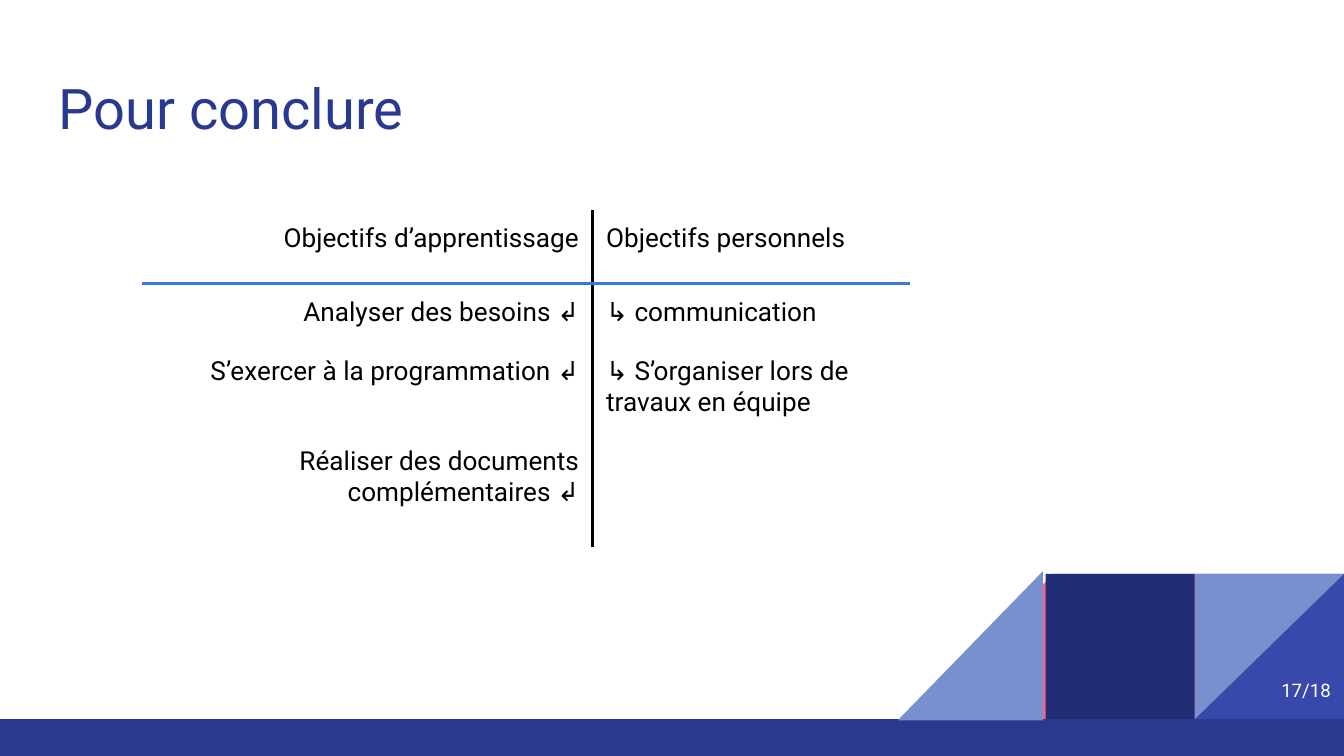
from dataclasses import dataclass

from lxml.etree import SubElement
from pptx import Presentation
from pptx.dml.color import RGBColor
from pptx.enum.shapes import MSO_SHAPE
from pptx.enum.text import MSO_ANCHOR, PP_ALIGN
from pptx.oxml.ns import qn
from pptx.slide import Slide
from pptx.table import _Cell
from pptx.text.text import TextFrame
from pptx.util import Inches, Pt


@dataclass(frozen=True)
class Theme:
    font: str = "Roboto"
    title_size: int = 30
    body_size: int = 14
    number_size: int = 10
    border_width: float = 1.5
    text: str = "000000"
    white: str = "FFFFFF"
    band: str = "2A3990"
    navy: str = "212D74"
    indigo: str = "3949AB"
    light_blue: str = "7890CD"
    rule: str = "3C78D8"
    pink: str = "F06292"
    raspberry: str = "D23369"
    plum: str = "9C254D"


THEME = Theme()


@dataclass(frozen=True)
class Block:
    left: float
    top: float
    width: float
    height: float
    color: str
    triangle: bool = False
    flips: tuple[str, ...] = ()


PAGE_WIDTH = 10
PAGE_HEIGHT = PAGE_WIDTH * 9 / 16
SIDE = 1.08
WIDE = 1.11
TOP = 4.27
BAND_TOP = TOP + SIDE
BLOCKS = [
    Block(8.92, TOP, SIDE, SIDE, THEME.pink, True),
    Block(6.76, TOP, SIDE, SIDE, THEME.pink, True, ("flipH",)),
    Block(7.84, TOP, SIDE, SIDE, THEME.raspberry),
    Block(8.92, TOP, SIDE, SIDE, THEME.plum, True, ("flipH", "flipV")),
    Block(0, BAND_TOP, PAGE_WIDTH, PAGE_HEIGHT - BAND_TOP, THEME.band),
    Block(7.78, TOP, WIDE, SIDE, THEME.navy),
    Block(8.89, TOP, WIDE, SIDE, THEME.indigo, True, ("flipH",)),
    Block(8.89, TOP, WIDE, SIDE, THEME.light_blue, True, ("flipV",)),
    Block(6.68, 4.25, SIDE, WIDE, THEME.light_blue, True, ("flipH",)),
]

COLUMN_WIDTHS = (3.35, 2.36)
ROW_HEIGHTS = (0.55, 0.44, 0.56, 0.85)
GOALS = [
    ("Objectifs d’apprentissage", "Objectifs personnels"),
    ("Analyser des besoins ↲", "↳ communication"),
    ("S’exercer à la programmation ↲", "↳ S’organiser lors de travaux en équipe"),
    ("Réaliser des documents complémentaires ↲", ""),
]


def add_block(page: Slide, block: Block) -> None:
    kind = MSO_SHAPE.RIGHT_TRIANGLE if block.triangle else MSO_SHAPE.RECTANGLE
    shape = page.shapes.add_shape(
        kind, Inches(block.left), Inches(block.top), Inches(block.width), Inches(block.height)
    )
    shape.shadow.inherit = False
    shape.fill.solid()
    shape.fill.fore_color.rgb = RGBColor.from_string(block.color)
    shape.line.fill.background()
    for flip in block.flips:
        shape._element.spPr.xfrm.set(flip, "1")


def write(frame: TextFrame, text: str, size: int, color: str, align: PP_ALIGN) -> None:
    para = frame.paragraphs[0]
    para.alignment = align
    span = para.add_run()
    span.text = text
    span.font.name = THEME.font
    span.font.size = Pt(size)
    span.font.color.rgb = RGBColor.from_string(color)


def add_label(page: Slide, at: tuple[float, float, float, float], text: str, size: int,
              color: str, align: PP_ALIGN, anchor: MSO_ANCHOR) -> None:
    box = page.shapes.add_textbox(*(Inches(length) for length in at))
    frame = box.text_frame
    frame.word_wrap = True
    frame.vertical_anchor = anchor
    frame.margin_left = frame.margin_right = Inches(0.1)
    frame.margin_top = frame.margin_bottom = Inches(0.1)
    write(frame, text, size, color, align)


def set_borders(cell: _Cell, colors: dict[str, str]) -> None:
    """Draw the sides named in colors (L, R, T, B) and clear the others."""
    properties = cell._tc.get_or_add_tcPr()
    for side in "LRTB":
        line = SubElement(properties, qn(f"a:ln{side}"), w=str(Pt(THEME.border_width)))
        if side in colors:
            fill = SubElement(line, qn("a:solidFill"))
            SubElement(fill, qn("a:srgbClr"), val=colors[side])
        else:
            SubElement(line, qn("a:noFill"))


def add_goal_table(page: Slide) -> None:
    table = page.shapes.add_table(
        len(GOALS), len(COLUMN_WIDTHS), Inches(1.06), Inches(1.56),
        Inches(sum(COLUMN_WIDTHS)), Inches(sum(ROW_HEIGHTS)),
    ).table
    table.first_row = table.horz_banding = False
    for column, width in zip(table.columns, COLUMN_WIDTHS):
        column.width = Inches(width)
    for row, height in zip(table.rows, ROW_HEIGHTS):
        row.height = Inches(height)

    for row_index, goals in enumerate(GOALS):
        for column_index, goal in enumerate(goals):
            cell = table.cell(row_index, column_index)
            cell.margin_left = cell.margin_right = Inches(0.1)
            cell.margin_top = cell.margin_bottom = Inches(0.1)
            borders = {"RL"[column_index]: THEME.text}
            if row_index < 2:
                borders["BT"[row_index]] = THEME.rule
            set_borders(cell, borders)
            cell.fill.background()
            if goal:
                align = (PP_ALIGN.RIGHT, PP_ALIGN.LEFT)[column_index]
                write(cell.text_frame, goal, THEME.body_size, THEME.text, align)


def main() -> None:
    deck = Presentation()
    deck.slide_width = Inches(PAGE_WIDTH)
    deck.slide_height = Inches(PAGE_HEIGHT)
    page = deck.slides.add_slide(deck.slide_layouts[6])
    page.background.fill.solid()
    page.background.fill.fore_color.rgb = RGBColor.from_string(THEME.white)

    for block in BLOCKS:
        add_block(page, block)
    add_label(page, (9.4, 4.92, 0.6, 0.43), "17/18", THEME.number_size, THEME.white,
              PP_ALIGN.RIGHT, MSO_ANCHOR.MIDDLE)
    add_goal_table(page)
    add_label(page, (0.34, 0.45, 9.32, 0.66), "Pour conclure", THEME.title_size, THEME.band,
              PP_ALIGN.LEFT, MSO_ANCHOR.TOP)
    deck.save("out.pptx")


if __name__ == "__main__":
    main()
